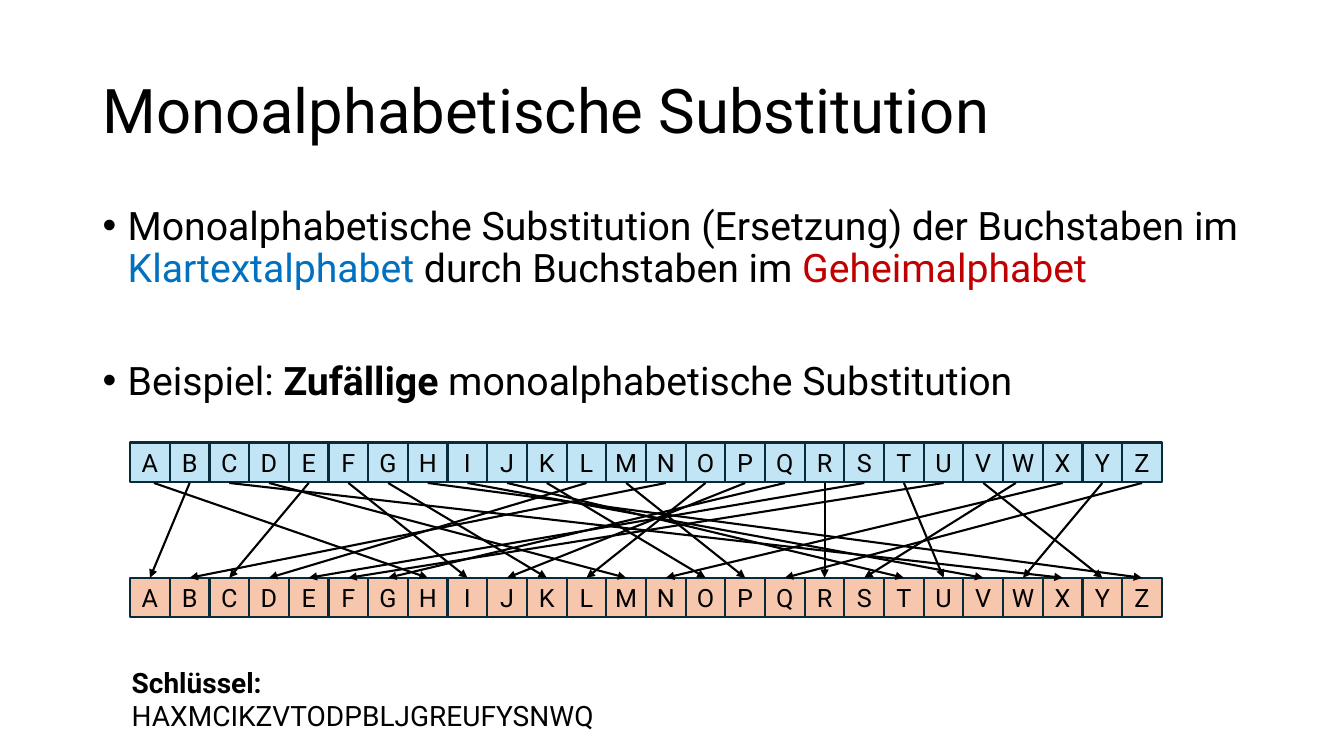
from lxml import etree
from pptx import Presentation
from pptx.dml.color import RGBColor
from pptx.enum.shapes import MSO_CONNECTOR, MSO_SHAPE
from pptx.enum.text import MSO_ANCHOR, MSO_AUTO_SIZE, PP_ALIGN
from pptx.oxml.ns import qn
from pptx.util import Cm, Pt

RECT = MSO_SHAPE.RECTANGLE
LINE = MSO_CONNECTOR.STRAIGHT
MIDDLE, TOP = MSO_ANCHOR.MIDDLE, MSO_ANCHOR.TOP
LEFT, CENTER = PP_ALIGN.LEFT, PP_ALIGN.CENTER
FIXED = MSO_AUTO_SIZE.NONE

COLORS = {
    "text": "000000", "plain": "0070C0", "secret": "C00000",
    "blue": "C1E5F5", "peach": "F6C6AD", "edge": "092A39",
}
FONT = "Roboto"
PLAIN = "ABCDEFGHIJKLMNOPQRSTUVWXYZ"
KEY = "HAXMCIKZVTODPBLJGREUFYSNWQ"

# Letter grid in cm; two arrows start a little off centre
START, CELL = 3.28, 1.0
UPPER, LOWER = 11.15, 14.56
NUDGE = {"A": 0.1, "W": -0.18}

FRAME = {"word_wrap": True, "auto_size": FIXED}
TIGHT = {"margin_left": 0, "margin_right": 0, "vertical_anchor": MIDDLE}
ITEM = {"line_spacing": 0.9, "alignment": LEFT}


def color(name):
    return RGBColor.from_string(COLORS[name])


def apply(target, values):
    for name, value in values.items():
        setattr(target, name, value)


def place(shape, left, top, width, height):
    apply(shape, {"left": Cm(left), "top": Cm(top),
                  "width": Cm(width), "height": Cm(height)})


def write(para, size, *runs):
    """Add runs given as (text, color name, bold)."""
    for text, tone, bold in runs:
        run = para.add_run()
        run.text = text
        apply(run.font, {"name": FONT, "size": Pt(size), "bold": bold})
        run.font.color.rgb = color(tone)


def bullet(para):
    props = para._p.get_or_add_pPr()
    props.set("marL", str(Cm(0.635)))
    props.set("indent", str(-Cm(0.635)))
    etree.SubElement(props, qn("a:buFont"), typeface="Arial")
    etree.SubElement(props, qn("a:buChar"), char="•")


def add_title(slide, text):
    title = slide.shapes.title
    place(title, 2.33, 1.01, 29.21, 3.68)
    apply(title.text_frame, {**FRAME, "vertical_anchor": MIDDLE})
    para = title.text_frame.paragraphs[0]
    apply(para, ITEM)
    write(para, 44, (text, "text", False))


def add_list(slide, items):
    body = slide.placeholders[1]
    place(body, 2.33, 5.08, 29.21, 12.09)
    frame = body.text_frame
    apply(frame, {**FRAME, "vertical_anchor": TOP})
    for i, (gap, runs) in enumerate(items):
        para = frame.add_paragraph() if i else frame.paragraphs[0]
        apply(para, {**ITEM, "space_before": Pt(gap)})
        bullet(para)
        write(para, 28, *runs)


def add_row(slide, top, fill):
    row = slide.shapes.add_group_shape()
    for i, letter in enumerate(PLAIN):
        box = row.shapes.add_shape(RECT, Cm(START + i * CELL), Cm(top),
                                   Cm(CELL), Cm(CELL))
        box.shadow.inherit = False
        box.fill.solid()
        box.fill.fore_color.rgb = color(fill)
        box.line.color.rgb = color("edge")
        box.line.width = Pt(1.5)
        apply(box.text_frame, TIGHT)
        para = box.text_frame.paragraphs[0]
        para.alignment = CENTER
        write(para, 18, (letter, "text", False))


def add_arrow(slide, letter, code):
    mid = START + CELL / 2
    begin = mid + PLAIN.index(letter) * CELL + NUDGE.get(letter, 0)
    end = mid + PLAIN.index(code) * CELL
    arrow = slide.shapes.add_connector(LINE, Cm(begin), Cm(UPPER + CELL + 0.02),
                                       Cm(end), Cm(LOWER))
    arrow.line.color.rgb = color("text")
    arrow.line.width = Pt(1.5)
    etree.SubElement(arrow.line._get_or_add_ln(), qn("a:tailEnd"),
                     type="triangle")
    etree.SubElement(arrow._element.spPr, qn("a:effectLst"))


def add_key(slide):
    box = slide.shapes.add_textbox(Cm(3.07), Cm(16.64), Cm(15.16), Cm(1.12))
    apply(box.text_frame, FRAME)
    write(box.text_frame.paragraphs[0], 20,
          ("Schlüssel: ", "text", True), (KEY, "text", False))


def main():
    deck = Presentation()
    deck.slide_width, deck.slide_height = Cm(33.87), Cm(19.05)
    slide = deck.slides.add_slide(deck.slide_layouts[1])

    # Title and list
    add_title(slide, "Monoalphabetische Substitution")
    add_list(slide, [
        (10, [("Monoalphabetische Substitution (Ersetzung) der Buchstaben im ",
               "text", False),
              ("Klartextalphabet", "plain", False),
              (" durch Buchstaben im ", "text", False),
              ("Geheimalphabet", "secret", False)]),
        (50, [("Beispiel: ", "text", False),
              ("Zufällige", "text", True),
              (" monoalphabetische Substitution", "text", False)]),
    ])

    # Alphabets and their mapping
    add_row(slide, LOWER, "peach")
    add_row(slide, UPPER, "blue")
    for letter, code in zip(PLAIN, KEY):
        add_arrow(slide, letter, code)

    # Key
    add_key(slide)
    deck.save("out.pptx")


if __name__ == "__main__":
    main()
